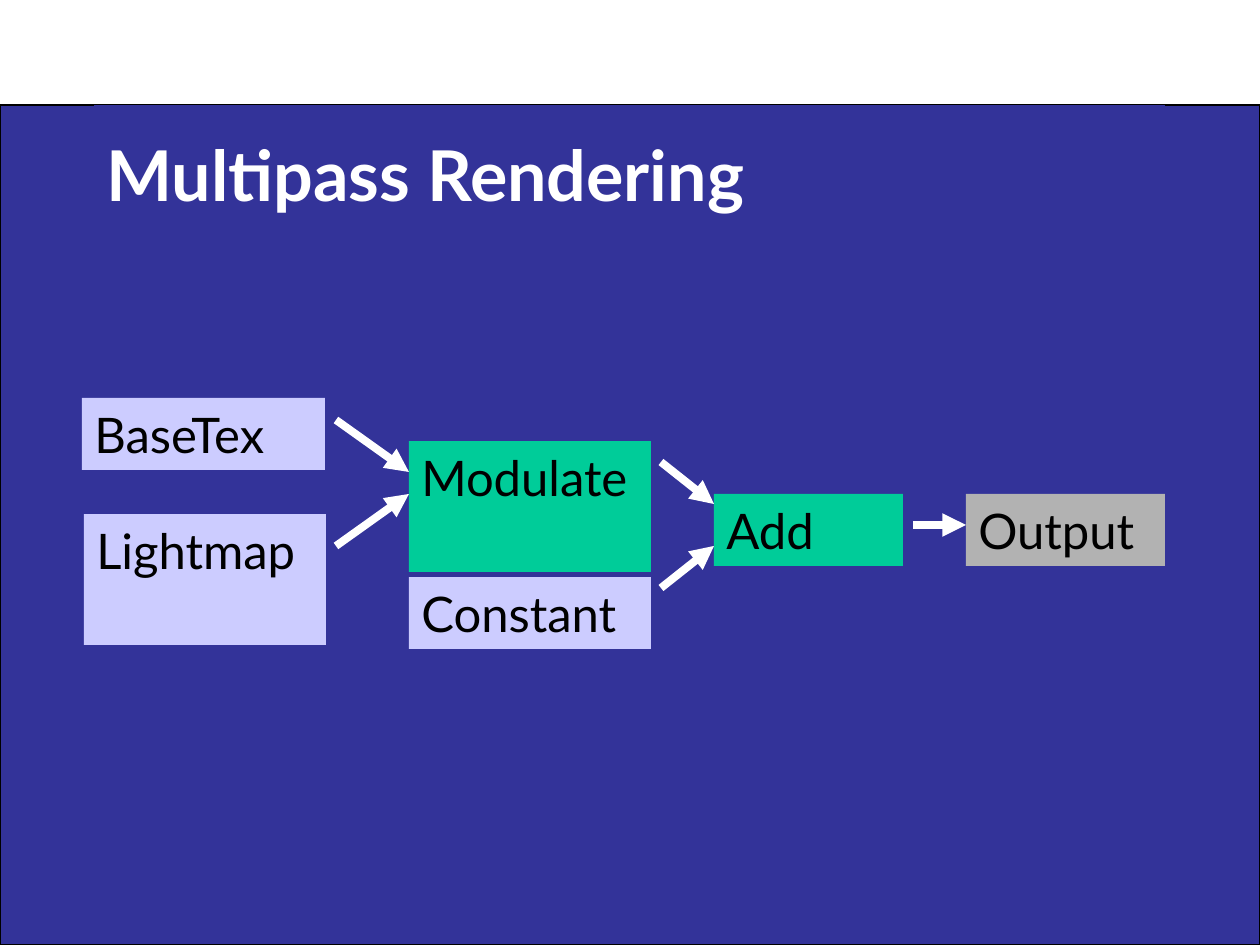
from pptx import Presentation
from pptx import util as u
from pptx.dml.color import RGBColor
from pptx.enum import shapes, text
from pptx.oxml.ns import qn
from lxml import etree

NAVY = RGBColor(0x33, 0x33, 0x99)
LILAC = RGBColor(0xCC, 0xCC, 0xFF)
GREEN = RGBColor(0x00, 0xCC, 0x99)
GREY = RGBColor(0xB2, 0xB2, 0xB2)
WHITE = RGBColor(0xFF, 0xFF, 0xFF)
BLACK = RGBColor(0, 0, 0)

FONT = "Lato"
LOW, TALL = 72, 131

# label, left, top, width, height, fill
STAGES = [
    ("BaseTex", 82, 398, 243, LOW, LILAC),
    ("Lightmap", 84, 514, 242, TALL, LILAC),
    ("Modulate", 409, 441, 242, TALL, GREEN),
    ("Constant", 409, 577, 242, LOW, LILAC),
    ("Add", 714, 494, 189, LOW, GREEN),
    ("Output", 966, 494, 199, LOW, GREY),
]
# start x, start y, end x, end y
FLOWS = [
    (336, 420, 409, 472),
    (336, 546, 409, 494),
    (661, 462, 714, 504),
    (661, 588, 714, 546),
    (913, 525, 966, 525),
]


def px(*sizes):
    """Turn pixels at 126 to the inch into EMU."""
    return [u.Emu(round(size * u.Inches(1) / 126)) for size in sizes]


def fill(shape, color):
    shape.fill.solid()
    shape.fill.fore_color.rgb = color


def write(shape, label, size, color, bold, anchor):
    frame = shape.text_frame
    frame.text = label
    frame.word_wrap = True
    frame.auto_size = text.MSO_AUTO_SIZE.NONE
    frame.vertical_anchor = anchor
    para = frame.paragraphs[0]
    para.alignment = text.PP_ALIGN.LEFT
    font = para.font
    font.name, font.size, font.bold = FONT, u.Pt(size), bold
    font.color.rgb = color


def add_box(slide, left, top, width, height, color):
    box = slide.shapes.add_shape(
        shapes.MSO_SHAPE.RECTANGLE, *px(left, top, width, height))
    box.shadow.inherit = False
    fill(box, color)
    box.line.fill.background()
    return box


def add_title(slide, label):
    title = slide.shapes.title
    title.left, title.top, title.width, title.height = px(94, 105, 1071, 136)
    fill(title, NAVY)
    write(title, label, 40, WHITE, True, text.MSO_ANCHOR.MIDDLE)


def add_panel(slide):
    """Lay the navy panel behind the title."""
    panel = add_box(slide, 0, 105, 1260, 840, NAVY)
    panel.line.color.rgb = BLACK
    panel.line.width = u.Pt(0.75)
    slide.shapes.title.element.addprevious(panel.element)


def add_stage(slide, label, left, top, width, height, color):
    box = add_box(slide, left, top, width, height, color)
    write(box, label, 28, BLACK, False, text.MSO_ANCHOR.TOP)


def add_arrow(slide, *ends):
    arrow = slide.shapes.add_connector(
        shapes.MSO_CONNECTOR.STRAIGHT, *px(*ends))
    arrow.line.color.rgb = WHITE
    arrow.line.width = u.Pt(4.5)
    etree.SubElement(arrow.line._get_or_add_ln(), qn("a:tailEnd"),
                     type="triangle")
    etree.SubElement(arrow.element.spPr, qn("a:effectLst"))


def main():
    deck = Presentation()
    deck.slide_width, deck.slide_height = px(1260, 945)
    slide = deck.slides.add_slide(deck.slide_layouts[5])
    add_title(slide, "Multipass Rendering")
    add_panel(slide)
    for stage in STAGES:
        add_stage(slide, *stage)
    for flow in FLOWS:
        add_arrow(slide, *flow)
    deck.save("out.pptx")


if __name__ == "__main__":
    main()
